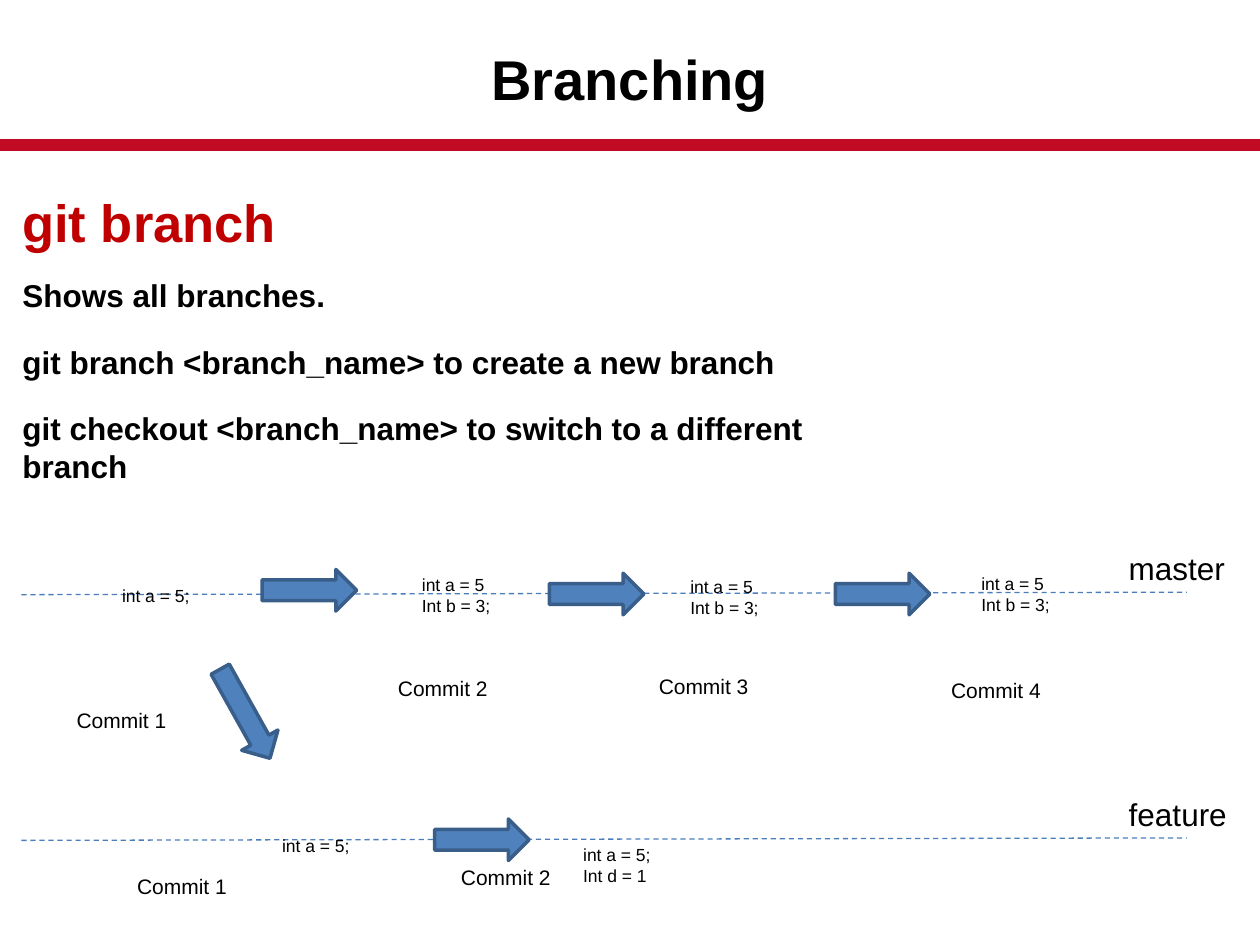
import pptx
import pptx.util
import pptx.dml.color
import pptx.enum.dml
import pptx.enum.shapes
import pptx.enum.text
import pptx.oxml.ns
from lxml import etree

PX = 9144  # EMU per px, 100 px to the inch
RGBColor = pptx.dml.color.RGBColor
BLACK = RGBColor(0x00, 0x00, 0x00)
HEADING_RED = RGBColor(0xC0, 0x00, 0x00)
RULE_RED = RGBColor(0xC1, 0x0B, 0x25)
ARROW_FILL = RGBColor(0x4F, 0x81, 0xBD)
ARROW_EDGE = RGBColor(0x39, 0x5E, 0x89)
BRANCH_BLUE = RGBColor(0x4A, 0x7D, 0xBA)
LEFT = pptx.enum.text.PP_ALIGN.LEFT
CENTER = pptx.enum.text.PP_ALIGN.CENTER


def px(*lengths):
    return [pptx.util.Emu(length * PX) for length in lengths]


def write(frame, lines, size=10, color=BLACK, bold=False, align=LEFT, inset_top=5):
    """Fill a frame; each line is text or (text, overrides of size, color, before)."""
    frame.word_wrap = True
    frame.auto_size = pptx.enum.text.MSO_AUTO_SIZE.NONE
    frame.vertical_anchor = pptx.enum.text.MSO_ANCHOR.TOP
    frame.margin_left, frame.margin_right = px(10, 10)
    frame.margin_top, frame.margin_bottom = px(inset_top, 5)
    for index, line in enumerate(lines):
        text, own = (line, {}) if isinstance(line, str) else line
        para = frame.add_paragraph() if index else frame.paragraphs[0]
        para.alignment = align
        para.space_before = pptx.util.Pt(own.get("before", 0))
        span = para.add_run()
        span.text = text
        span.font.name = "Arial"
        span.font.size = pptx.util.Pt(own.get("size", size))
        span.font.bold = bold
        span.font.color.rgb = own.get("color", color)


def add_text(page, left, top, width, height, lines, **style):
    box = page.shapes.add_textbox(*px(left, top, width, height))
    write(box.text_frame, lines, **style)


def add_line(page, start, end, color, weight, dash=None):
    line = page.shapes.add_connector(
        pptx.enum.shapes.MSO_CONNECTOR.STRAIGHT, *px(*start, *end))
    line.line.color.rgb = color
    line.line.width = pptx.util.Pt(weight)
    if dash:
        line.line.dash_style = dash
    properties = line._element.spPr
    etree.SubElement(properties, pptx.oxml.ns.qn("a:effectLst"))


def add_arrow(page, left, top, width=75, rotation=0):
    arrow = page.shapes.add_shape(
        pptx.enum.shapes.MSO_SHAPE.RIGHT_ARROW, *px(left, top, width, 33))
    arrow.rotation = rotation
    arrow.shadow.inherit = False
    arrow.fill.solid()
    arrow.fill.fore_color.rgb = ARROW_FILL
    arrow.line.color.rgb = ARROW_EDGE
    arrow.line.width = pptx.util.Pt(2)


def add_branch(page, name, y):
    add_line(page, (17, y), (942, y - 2), BRANCH_BLUE, 0.75,
             pptx.enum.dml.MSO_LINE.DASH)
    add_text(page, 886, y - 41, 125, 40, [name], size=18)


def main():
    deck = pptx.Presentation()
    deck.slide_width, deck.slide_height = px(1000, 750)
    page = deck.slides.add_slide(deck.slide_layouts[5])

    # Title and rule
    add_line(page, (1000, 115), (0, 115), RULE_RED, 6.5)
    title = page.shapes.title
    title.left, title.top, title.width, title.height = px(50, 25, 900, 94)
    write(title.text_frame, ["Branching"], size=32, bold=True, align=CENTER,
          inset_top=10)

    # Commands
    add_text(page, 8, 142, 683, 311, [
        ("git branch", {"size": 30, "color": HEADING_RED}),
        ("Shows all branches.", {"before": 13}),
        ("git branch <branch_name> to create a new branch", {"before": 16.5}),
        ("git checkout <branch_name> to switch to a different branch",
         {"before": 16.5}),
    ], size=18, bold=True, inset_top=9)

    # Branch lines
    add_branch(page, "master", 472)
    add_branch(page, "feature", 667)

    # Code at each commit
    first = ["int a = 5;"]
    master_code = ["int a = 5", "Int b = 3;"]
    feature_code = ["int a = 5;", "Int d = 1"]
    for left, top, code in [
        (87, 459, first), (325, 451, master_code), (538, 452, master_code),
        (769, 450, master_code), (214, 658, first), (453, 665, feature_code),
    ]:
        add_text(page, left, top, 125, 10 + 17 * len(code), code)

    # Commit labels
    for left, top, width, number in [
        (-2, 557, 197, 1), (283, 531, 137, 2), (508, 530, 101, 3),
        (724, 533, 133, 4), (46, 688, 197, 1), (303, 681, 197, 2),
    ]:
        add_text(page, left, top, width, 30, [f"Commit {number}"], size=12,
                 align=CENTER)

    # Arrows along the branches, then the one that forks off
    for left, top in [(208, 452), (436, 455), (663, 455), (345, 650)]:
        add_arrow(page, left, top)
    add_arrow(page, 154, 550, width=81, rotation=60.8)

    deck.save("out.pptx")


if __name__ == "__main__":
    main()
